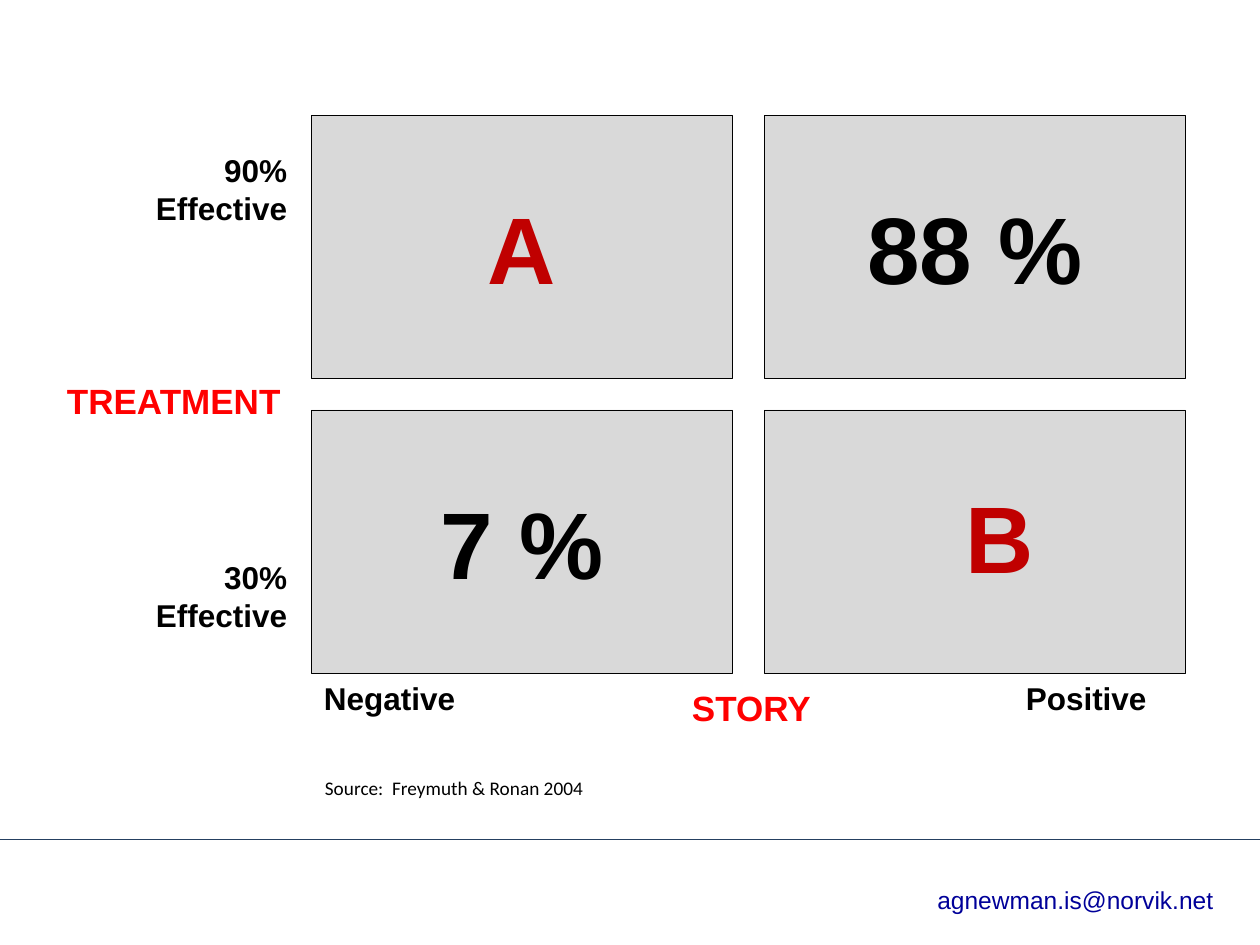
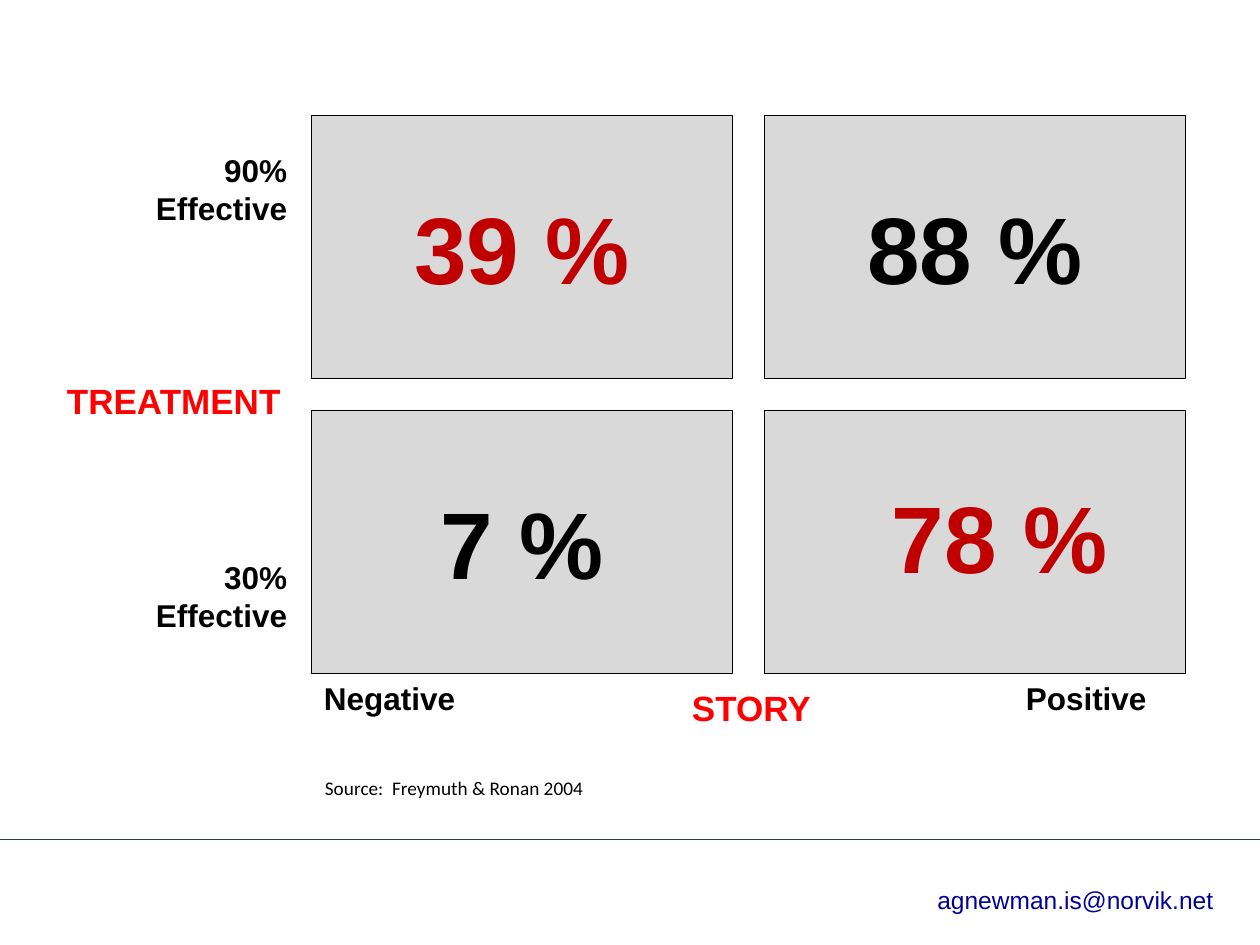
from lxml.etree import SubElement
from pptx import Presentation
from pptx.dml.color import RGBColor
from pptx.enum.shapes import MSO_CONNECTOR, MSO_SHAPE
from pptx.enum.text import MSO_ANCHOR, MSO_AUTO_SIZE, PP_ALIGN
from pptx.oxml.ns import qn
from pptx.util import Cm, Pt

COLOURS = {
    "cell": "D9D9D9",
    "text": "000000",
    "answer": "C00000",
    "axis": "FF0000",
    "rule": "254061",
    "address": "000099",
}
SLIDE_WIDTH, SLIDE_HEIGHT = 25.4, 19.05
MATRIX_BOX = (6.28, 2.32, 17.62, 11.25)
FOOTER_BOX = (0, 16.92, SLIDE_WIDTH, 2.13)
GAP = 0.64
FIGURE_SIZE = 54

# Answers for the top left and the bottom right cell of each slide
ANSWERS = [("A", "B"), ("39 %", "78 %")]


def colour(name):
    return RGBColor.from_string(COLOURS[name])


def write(shape, text, size, colour_name="text", bold=True,
          align=PP_ALIGN.LEFT, font_name="Arial"):
    shape.text_frame.text = text
    paragraph = shape.text_frame.paragraphs[0]
    paragraph.alignment = align
    font = paragraph.runs[0].font
    font.name, font.size, font.bold = font_name, Pt(size), bold
    font.color.rgb = colour(colour_name)
    return paragraph


def add_label(slide, box, text, size, wrap=False, **style):
    shape = slide.shapes.add_textbox(*map(Cm, box))
    shape.text_frame.word_wrap = wrap
    shape.text_frame.auto_size = MSO_AUTO_SIZE.SHAPE_TO_FIT_TEXT
    return write(shape, text, size, **style)


def add_cell(slide, box, text, colour_name):
    shape = slide.shapes.add_shape(MSO_SHAPE.RECTANGLE, *map(Cm, box))
    shape.shadow.inherit = False
    shape.fill.solid()
    shape.fill.fore_color.rgb = colour("cell")
    shape.line.color.rgb = colour("text")
    shape.line.width = Pt(0.25)
    shape.text_frame.vertical_anchor = MSO_ANCHOR.MIDDLE
    if text:
        write(shape, text, FIGURE_SIZE, colour_name, align=PP_ALIGN.CENTER)


def add_matrix(slide, box, first_answer, second_answer):
    """Two by two grid; the second answer floats above its empty cell."""
    left, top, width, height = box
    cell_width, cell_height = (width - GAP) / 2, (height - GAP) / 2
    cells = [[(first_answer, "answer"), ("88 %", "text")],
             [("7 %", "text"), ("", "text")]]
    for row, contents in enumerate(cells):
        for column, (text, colour_name) in enumerate(contents):
            x = left + column * (cell_width + GAP)
            y = top + row * (cell_height + GAP)
            add_cell(slide, (x, y, cell_width, cell_height), text, colour_name)
    add_label(slide, (x + 2.29, y + 1.27, 4.9, 2.57), second_answer,
              FIGURE_SIZE, colour_name="answer", align=PP_ALIGN.CENTER)


def add_axes(slide, box):
    left, top, width, height = box
    bottom = top + height
    for offset, text in ((0.6, "90% Effective"), (8.81, "30% Effective")):
        add_label(slide, (left - 4.38, top + offset, 4.14, 1.96), text, 18,
                  wrap=True, align=PP_ALIGN.RIGHT)
    for offset, label_width, text in ((0, 3.45, "Negative"),
                                      (14.15, 3.23, "Positive")):
        add_label(slide, (left + offset, bottom, label_width, 1.12), text, 18)
    add_label(slide, (left - 5.18, top + 5.2, 4.98, 1.12), "TREATMENT", 20,
              wrap=True, colour_name="axis")
    add_label(slide, (left + 7.42, bottom + 0.15, 2.92, 1.12), "STORY", 20,
              colour_name="axis")
    add_label(slide, (left + 0.02, bottom + 1.95, 5.77, 0.74),
              "Source:  Freymuth & Ronan 2004", 11, bold=False,
              font_name="Calibri")


def add_footer(slide, box):
    left, top, width, height = box
    rule = slide.shapes.add_connector(
        MSO_CONNECTOR.STRAIGHT, Cm(left), Cm(top), Cm(left + width), Cm(top))
    rule.line.color.rgb = colour("rule")
    rule.line.width = Pt(0.75)
    SubElement(rule.element.spPr, qn("a:effectLst"))
    address = add_label(slide, (left + width - 7.02, top + 0.4, 6.6, 1.12),
                        "agnewman.is@norvik.net", 14, bold=False,
                        colour_name="address", align=PP_ALIGN.CENTER)
    address.line_spacing = Pt(28)


def add_result_slide(presentation, first_answer, second_answer):
    slide = presentation.slides.add_slide(presentation.slide_layouts[6])
    add_footer(slide, FOOTER_BOX)
    add_matrix(slide, MATRIX_BOX, first_answer, second_answer)
    add_axes(slide, MATRIX_BOX)


def main():
    presentation = Presentation()
    presentation.slide_width = Cm(SLIDE_WIDTH)
    presentation.slide_height = Cm(SLIDE_HEIGHT)
    for answers in ANSWERS:
        add_result_slide(presentation, *answers)
    presentation.save("out.pptx")


if __name__ == "__main__":
    main()
